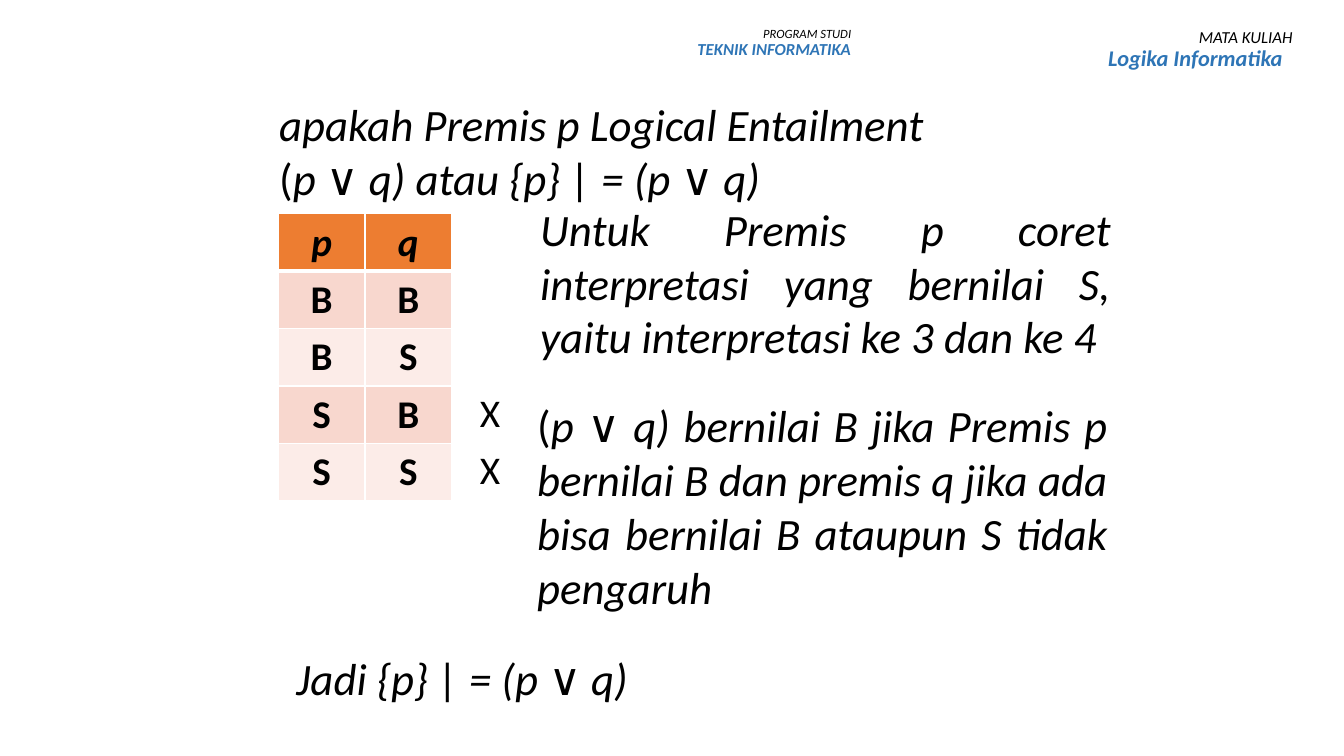
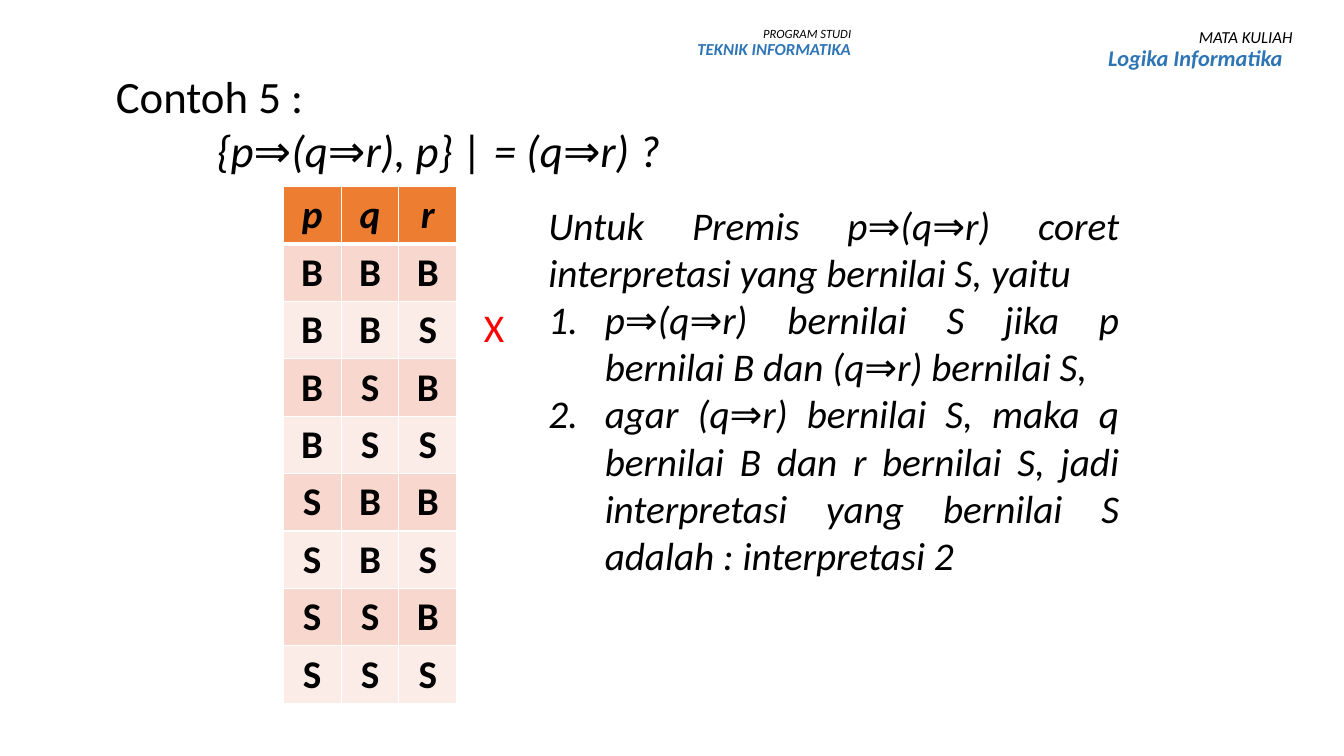
import itertools

import pptx
import pptx.dml.color
import pptx.enum.text
import pptx.oxml
import pptx.oxml.ns
import pptx.util
from pptx.util import Inches

FONT = "Calibri"
BLACK, WHITE, RED, BLUE = "000000", "FFFFFF", "FF0000", "2E75B6"
HEAD, BANDS = "ED7D31", ("F8D7CE", "FCECE8")
ROW = 0.57
ALIGN = pptx.enum.text.PP_ALIGN


def color(code):
    return pptx.dml.color.RGBColor.from_string(code)


def write(frame, text, size=32, ink=BLACK, bold=False, italic=True,
          align=ALIGN.JUSTIFY, lead="", left=0, hang=0, right=0,
          number=False, space=None):
    """Add a paragraph; lead is an upright start, indents are in inches."""
    par = frame.paragraphs[0]
    if par.runs:
        par = frame.add_paragraph()
    props = par._p.get_or_add_pPr()
    for name, inches in (("marL", left), ("indent", -hang), ("marR", right)):
        if inches:
            props.set(name, str(Inches(inches)))
    if number:
        mark = pptx.oxml.ns.qn("a:buAutoNum")
        props.append(props.makeelement(mark, {"type": "arabicPeriod"}))
    par.alignment = align
    if space:
        par.line_spacing = space
    for part, slant in ((lead, False), (text, italic)):
        if part:
            run = par.add_run()
            run.text = part
            font = run.font
            font.name, font.size = FONT, pptx.util.Pt(size)
            font.bold, font.italic = bold, slant
            font.color.rgb = color(ink)


def box(slide, x, y, w, h, grow=True):
    """Place an empty text box and return its frame."""
    frame = slide.shapes.add_textbox(*map(Inches, (x, y, w, h))).text_frame
    frame.word_wrap = True
    if grow:
        frame.auto_size = pptx.enum.text.MSO_AUTO_SIZE.SHAPE_TO_FIT_TEXT
    return frame


def border(cell, **widths):
    """Draw white cell edges, named L, R, T, B, with widths in points."""
    props = cell._tc.get_or_add_tcPr()
    space = pptx.oxml.ns.nsdecls("a")
    for side, width in widths.items():
        props.append(pptx.oxml.parse_xml(
            f'<a:ln{side} {space} w="{pptx.util.Pt(width)}"><a:solidFill>'
            f'<a:srgbClr val="{WHITE}"/></a:solidFill></a:ln{side}>'))


def grid(slide, x, y, w, rows, cols):
    """Place a plain table with equal rows and columns."""
    spot = map(Inches, (x, y, w, rows * ROW))
    table = slide.shapes.add_table(rows, cols, *spot).table
    table.first_row = table.horz_banding = False
    for col in table.columns:
        col.width = Inches(w / cols)
    return table


def truth(slide, x, y, names):
    """List every interpretation of the named premises."""
    rows = [tuple(names), *itertools.product("BS", repeat=len(names))]
    table = grid(slide, x, y, 1.72, len(rows), len(names))
    for i, row in enumerate(rows):
        top = i == 0
        for j, text in enumerate(row):
            cell = table.cell(i, j)
            border(cell, L=1, R=1, T=1, B=3 if top else 1)
            cell.fill.solid()
            cell.fill.fore_color.rgb = color(HEAD if top else BANDS[(i - 1) % 2])
            write(cell.text_frame, text, size=28, bold=True, italic=top,
                  align=ALIGN.CENTER)


def marks(slide, x, y, rows, struck, ink=BLACK):
    """Cross out the struck interpretations beside a truth table."""
    table = grid(slide, x, y, 0.6, rows, 1)
    for i in range(rows):
        cell = table.cell(i, 0)
        cell.fill.background()
        if i in struck:
            write(cell.text_frame, "X", size=28, ink=ink, italic=False,
                  align=ALIGN.CENTER)


def header(slide, x, y, w, h, label, name, small, large, right=0):
    frame = box(slide, x, y, w, h, grow=False)
    write(frame, label, size=small, align=ALIGN.RIGHT, space=0.9)
    write(frame, name, size=large, ink=BLUE, bold=True, align=ALIGN.RIGHT,
          space=0.9, right=right)


def start(deck):
    """Add a blank slide with the shared headers."""
    slide = deck.slides.add_slide(deck.slide_layouts[6])
    header(slide, 6.03, 0.22, 2.51, 0.56,
           "PROGRAM STUDI", "TEKNIK INFORMATIKA", 9, 12)
    header(slide, 9.16, 0.24, 3.76, 0.74,
           "MATA KULIAH", "Logika Informatika", 12, 16, right=0.1)
    return slide


def entail(deck):
    slide = start(deck)
    title = box(slide, 1.67, 0.91, 9.69, 1.18)
    write(title, "apakah Premis p Logical Entailment", left=1)
    write(title, "p ∨ q) atau {p} | = (p ∨ q)", lead="(", left=1)
    truth(slide, 2.76, 2.12, "pq")
    marks(slide, 4.56, 2.11, 5, (3, 4))
    write(box(slide, 5.26, 1.95, 5.86, 1.72),
          "Untuk Premis p coret interpretasi yang bernilai S, "
          "yaitu interpretasi ke 3 dan ke 4")
    write(box(slide, 5.23, 3.9, 5.86, 2.26),
          "p ∨ q) bernilai B jika Premis p bernilai B dan premis q jika ada "
          "bisa bernilai B ataupun S tidak pengaruh", lead="(")
    write(box(slide, 2.84, 6.41, 8.3, 0.64), "Jadi {p} | = (p ∨ q)")


def sample(deck):
    slide = start(deck)
    title = box(slide, 1.05, 0.63, 8.3, 1.18)
    write(title, "Contoh 5 :", italic=False)
    write(title, "{p⇒(q⇒r), p} | = (q⇒r) ?", left=1)
    truth(slide, 2.81, 1.85, "pqr")
    marks(slide, 4.6, 1.84, 9, (2,), RED)
    notes = box(slide, 5.34, 1.95, 5.86, 3.87)
    write(notes, "Untuk Premis p⇒(q⇒r) coret interpretasi yang bernilai S, yaitu",
          size=28)
    for step in (
        "p⇒(q⇒r) bernilai S jika p bernilai B dan (q⇒r) bernilai S,",
        "agar (q⇒r) bernilai S, maka q bernilai B dan r bernilai S, jadi "
        "interpretasi yang bernilai S adalah : interpretasi 2",
    ):
        write(notes, step, size=28, left=0.56, hang=0.56, number=True)


def main():
    deck = pptx.Presentation()
    deck.slide_width, deck.slide_height = Inches(13.33), Inches(7.5)
    entail(deck)
    sample(deck)
    deck.save("out.pptx")


if __name__ == "__main__":
    main()
